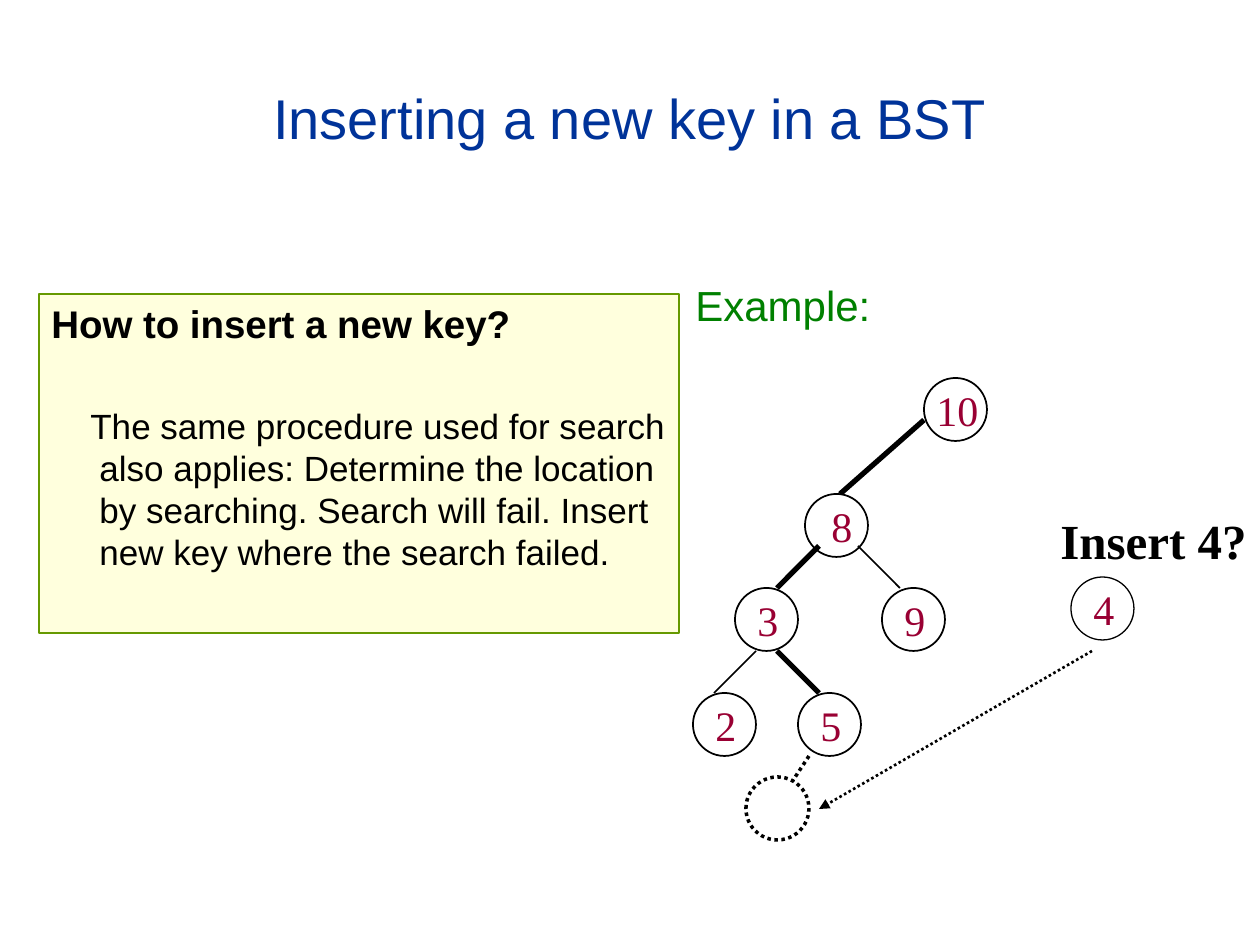
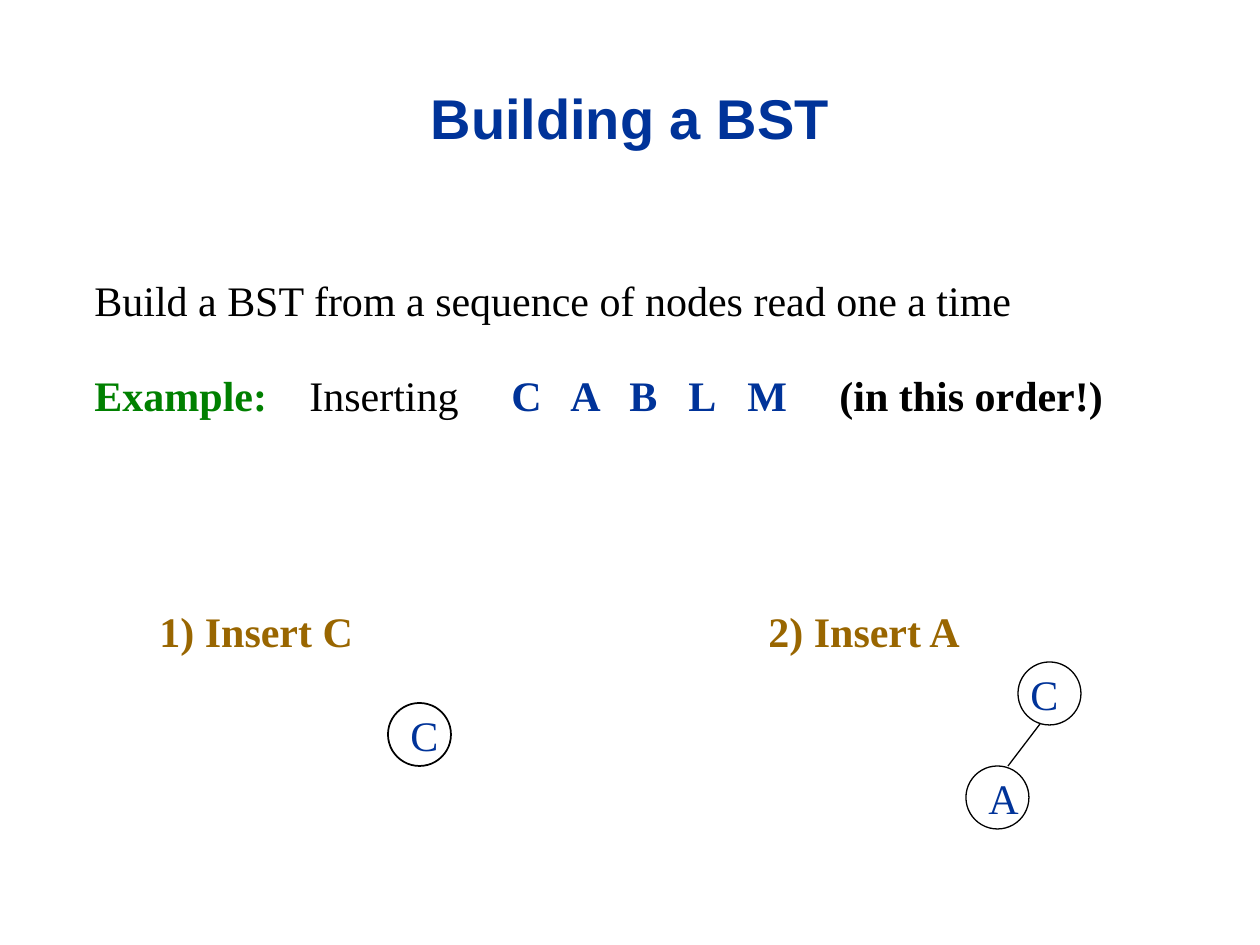
from lxml.etree import SubElement
from pptx import Presentation
from pptx.dml.color import RGBColor
from pptx.enum.dml import MSO_LINE
from pptx.enum.shapes import MSO_CONNECTOR, MSO_SHAPE
from pptx.enum.text import MSO_ANCHOR, MSO_AUTO_SIZE, PP_ALIGN
from pptx.oxml.ns import qn
from pptx.util import Emu, Pt

PIXELS_PER_INCH = 126
SANS = "Arial"
SERIF = "Times New Roman"
BLACK = "000000"
WHITE = "FFFFFF"
BLUE = "003399"
GREEN = "008000"
BROWN = "996600"
CRIMSON = "990033"
NODE_SIZE = 63
LABEL_WIDTH = 68


def px(length):
    return Emu(round(length * 914400 / PIXELS_PER_INCH))


def color(code):
    return RGBColor.from_string(code)


def add_span(para, text, font=SERIF, size=24, ink=BLACK, bold=False):
    span = para.add_run()
    span.text = text
    span.font.name = font
    span.font.size = Pt(size)
    span.font.bold = bold
    span.font.color.rgb = color(ink)
    return span


def set_indent(para, margin, first_line):
    properties = para._p.get_or_add_pPr()
    properties.set("marL", str(px(margin)))
    properties.set("indent", str(px(first_line)))


def set_tabs(para, stops):
    tab_list = SubElement(para._p.get_or_add_pPr(), qn("a:tabLst"))
    for stop in stops:
        SubElement(tab_list, qn("a:tab"), pos=str(px(stop)), algn="l")


class SlideBuilder:
    def __init__(self):
        self.deck = Presentation()
        self.deck.slide_width = px(1260)
        self.deck.slide_height = px(945)
        self.page = None

    def start_page(self, title, bold=False):
        self.page = self.deck.slides.add_slide(self.deck.slide_layouts[5])
        box = self.page.shapes.title
        box.left, box.top, box.width, box.height = map(px, (63, 38, 1134, 158))
        frame = box.text_frame
        frame.auto_size = MSO_AUTO_SIZE.NONE
        frame.vertical_anchor = MSO_ANCHOR.MIDDLE
        para = frame.paragraphs[0]
        para.alignment = PP_ALIGN.CENTER
        add_span(para, title, font=SANS, size=32, ink=BLUE, bold=bold)

    def text(self, left, top, width, height, text="", space_before=0, **style):
        box = self.page.shapes.add_textbox(*map(px, (left, top, width, height)))
        box.text_frame.word_wrap = True
        para = box.text_frame.paragraphs[0]
        para.space_before = Pt(space_before)
        add_span(para, text, **style)
        return box

    def panel(self, left, top, width, height, fill, outline):
        box = self.page.shapes.add_shape(
            MSO_SHAPE.RECTANGLE, *map(px, (left, top, width, height)))
        box.shadow.inherit = False
        box.fill.solid()
        box.fill.fore_color.rgb = color(fill)
        box.line.color.rgb = color(outline)
        box.line.width = Pt(0.75)
        frame = box.text_frame
        frame.word_wrap = True
        frame.vertical_anchor = MSO_ANCHOR.TOP
        frame.paragraphs[0].alignment = PP_ALIGN.LEFT
        return frame

    def node(self, left, top, label="", ink=CRIMSON, shift=10, weight=1,
             filled=True, dotted=False):
        circle = self.page.shapes.add_shape(
            MSO_SHAPE.OVAL, *map(px, (left, top, NODE_SIZE, NODE_SIZE)))
        circle.shadow.inherit = False
        if filled:
            circle.fill.solid()
            circle.fill.fore_color.rgb = color(WHITE)
        else:
            circle.fill.background()
        self.stroke(circle.line, weight, dotted)
        if label:
            self.text(left + shift, top, LABEL_WIDTH, NODE_SIZE, label, ink=ink)

    def edge(self, start, end, weight=1, dotted=False, arrow=False):
        line = self.page.shapes.add_connector(
            MSO_CONNECTOR.STRAIGHT, *map(px, (*start, *end)))
        self.stroke(line.line, weight, dotted)
        if arrow:
            SubElement(line.line._get_or_add_ln(), qn("a:tailEnd"), type="triangle")
        SubElement(line._element.spPr, qn("a:effectLst"))

    def stroke(self, line, weight, dotted):
        line.color.rgb = color(BLACK)
        line.width = Pt(weight)
        if dotted:
            line.dash_style = MSO_LINE.ROUND_DOT


def build_insertion(slides):
    slides.start_page("Inserting a new key in a BST")

    frame = slides.panel(39, 294, 640, 339, fill="FFFFDD", outline="669900")
    heading = frame.paragraphs[0]
    heading.space_before = Pt(2)
    add_span(heading, "How to insert a new key?", font=SANS, size=22, bold=True)
    answer = frame.add_paragraph()
    answer.alignment = PP_ALIGN.LEFT
    answer.space_before = Pt(33)
    set_indent(answer, 48, -9)
    add_span(answer, "The same procedure used for search also applies: "
             "Determine the location by searching. Search will fail. "
             "Insert new key where the search failed.", font=SANS, size=20)

    slides.text(683, 273, 525, 567, "Example:", space_before=2,
                font=SANS, ink=GREEN)

    slides.node(924, 378, "10", shift=0)
    slides.edge((840, 494), (924, 420), weight=3)
    slides.node(805, 494, "8", shift=14)
    for left, top, key in ((735, 588, "3"), (882, 588, "9"),
                           (693, 693, "2"), (798, 693, "5")):
        slides.node(left, top, key)
    for start, end, weight in (((819, 546), (777, 588), 3),
                               ((858, 546), (900, 588), 1),
                               ((756, 651), (714, 693), 1),
                               ((777, 651), (819, 693), 3)):
        slides.edge(start, end, weight)

    slides.edge((809, 756), (788, 788), weight=2, dotted=True)
    slides.node(746, 777, weight=2, dotted=True)
    slides.text(1048, 504, 212, 72, "Insert 4?", size=28, bold=True)
    slides.node(1071, 577, "4", weight=0.75, filled=False)
    slides.edge((1092, 651), (819, 809), weight=1.5, dotted=True, arrow=True)


def build_sequence(slides):
    slides.start_page("Building a BST", bold=True)

    box = slides.text(82, 268, 1041, 159,
                      "Build a BST from a sequence of nodes read one a time")
    example = box.text_frame.add_paragraph()
    example.line_spacing = 1.9
    letters = "CABLM"
    letter_stops = [417 + 59 * index for index in range(len(letters))]
    set_tabs(example, [215, *letter_stops, 745])
    add_span(example, "Example:", ink=GREEN, bold=True)
    add_span(example, "\tInserting")
    add_span(example, "".join(f"\t{letter}" for letter in letters),
             ink=BLUE, bold=True)
    add_span(example, "\t(in this order!)", bold=True)

    for left, step in ((147, "1) Insert C"), (756, "2) Insert A")):
        slides.text(left, 599, 225, 63, step, ink=BROWN, bold=True)

    slides.node(388, 703, "C", ink=BLUE)
    slides.node(1018, 662, "C", ink=BLUE, shift=0, weight=0.75, filled=False)
    slides.node(966, 766, "A", ink=BLUE, weight=0.75, filled=False)
    slides.edge((1008, 766), (1040, 724), weight=0.75)


def main():
    slides = SlideBuilder()
    build_insertion(slides)
    build_sequence(slides)
    slides.deck.save("out.pptx")


if __name__ == "__main__":
    main()
